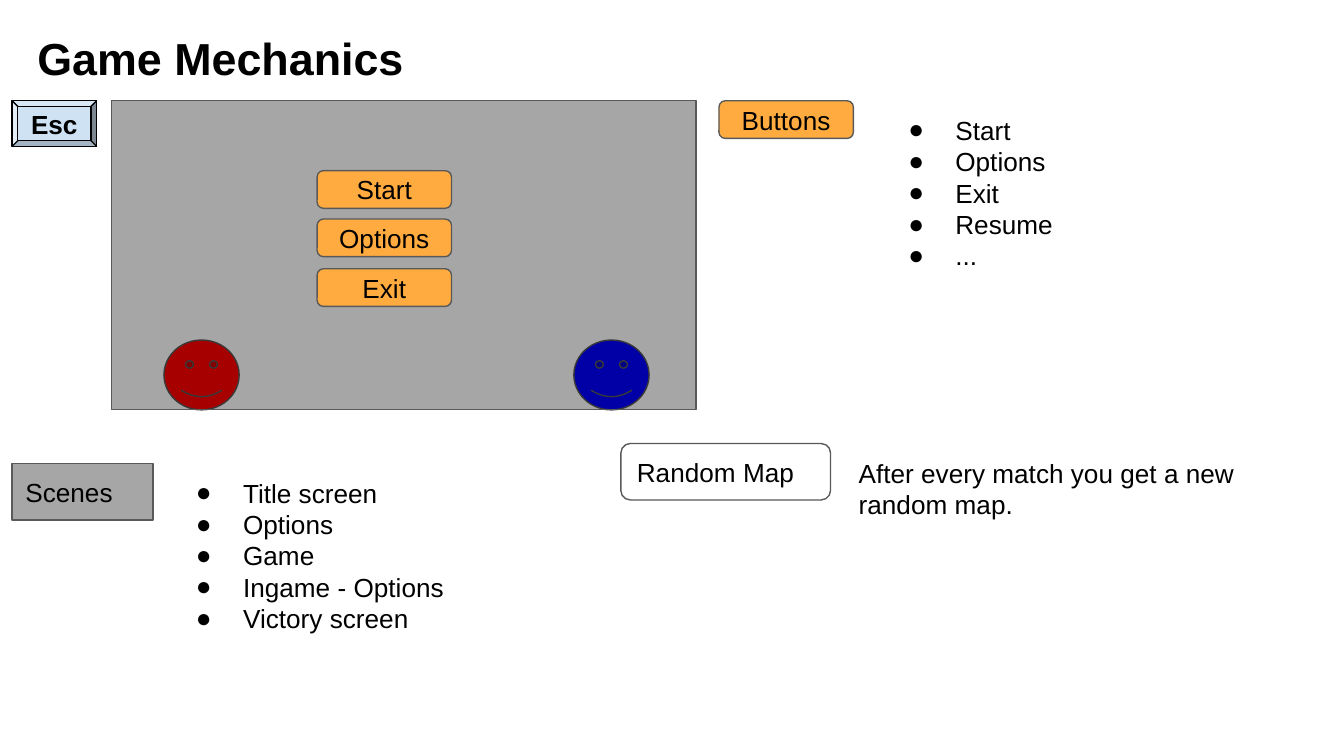
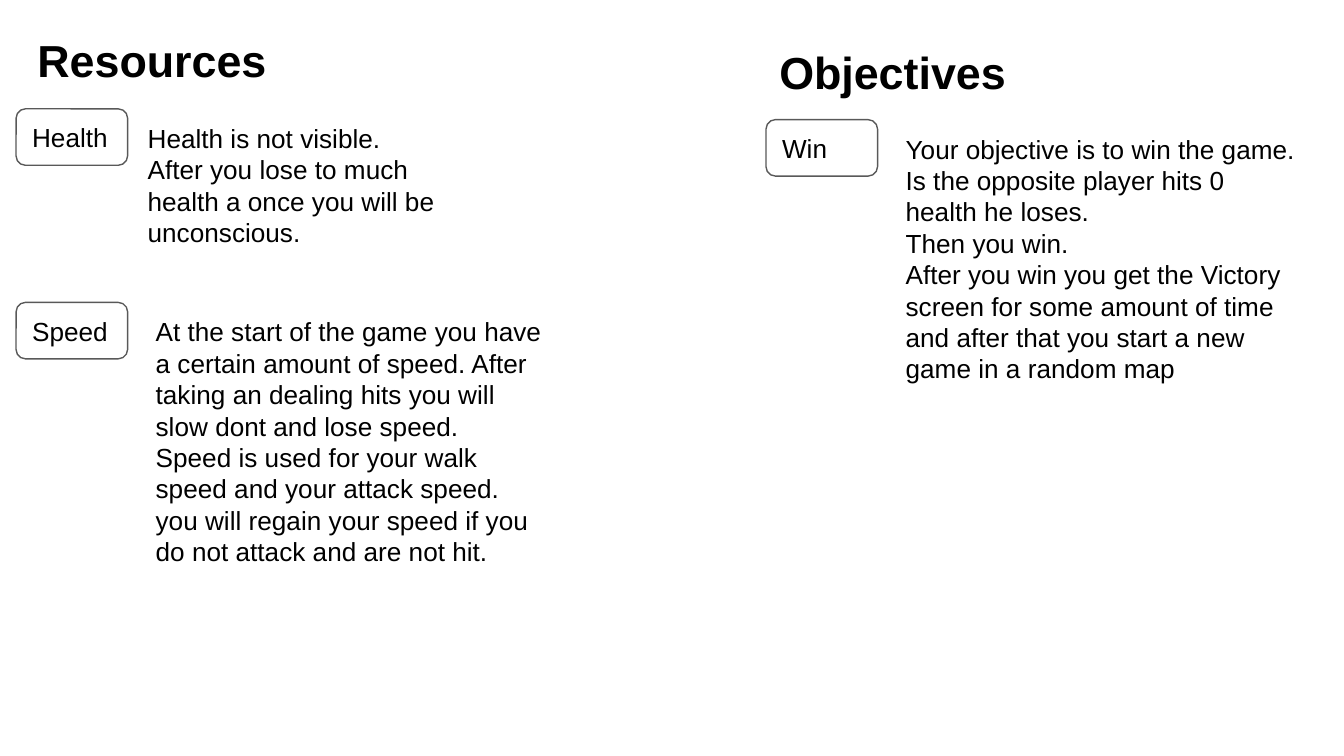
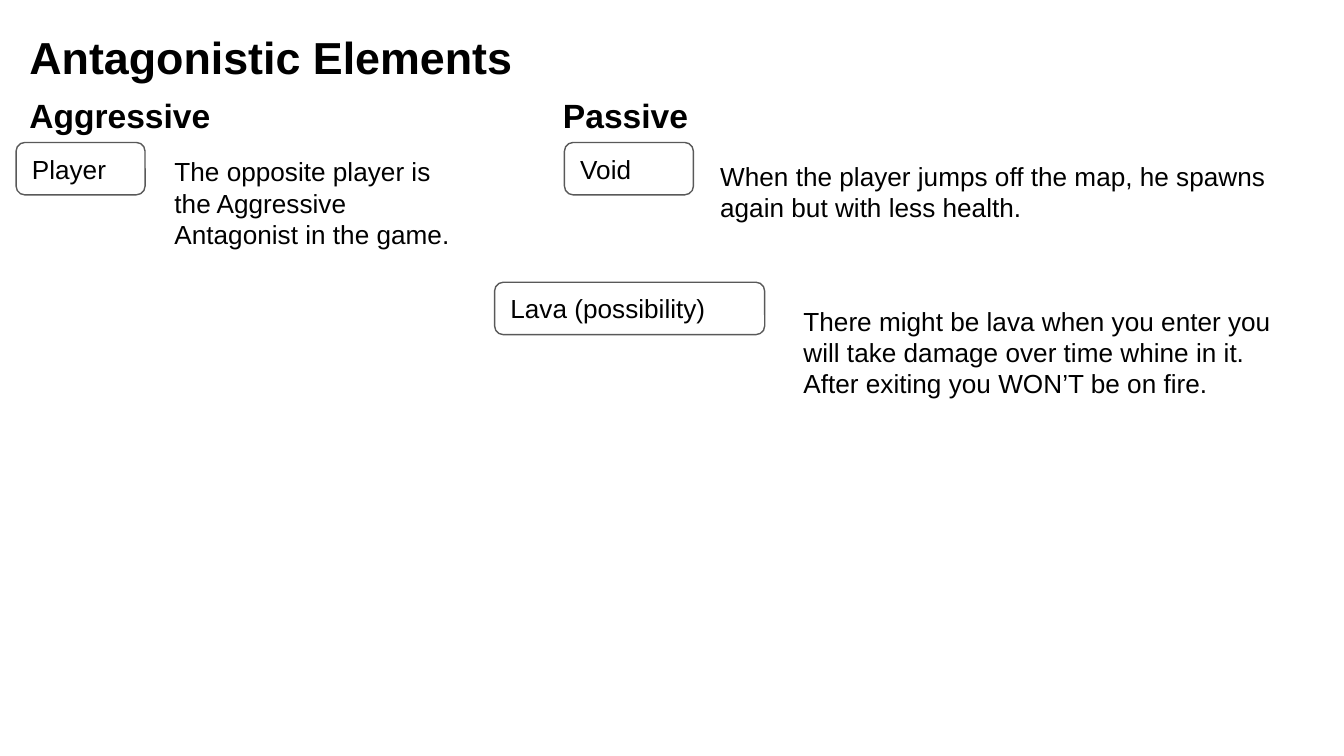
"""Build three game design slides: mechanics, resources and objectives, antagonists."""
from dataclasses import dataclass

from lxml.etree import SubElement
from pptx import Presentation
from pptx.dml.color import RGBColor
from pptx.enum.shapes import MSO_SHAPE as SHAPE
from pptx.enum.text import MSO_ANCHOR as ANCHOR, PP_ALIGN as ALIGN
from pptx.oxml.ns import qn
from pptx.util import Pt

PX = 9144


@dataclass(frozen=True)
class Theme:
    font: str = "Arial"
    ink: str = "000000"
    outline: str = "595959"
    button: str = "FFAB40"
    key: str = "CFE2F3"
    red: str = "FF0000"
    blue: str = "0000FF"
    shade: int = 35
    title: int = 24
    heading: int = 18
    body: int = 14
    line: float = 0.75


T = Theme()


def add(s, box, text="", shape=None, fill=None, alpha=None, line=T.outline,
        size=T.body, bold=False, align=ALIGN.LEFT, bullets=False):
    """Add a text box, or a preset shape if one is given, with one paragraph per line."""
    x, y, w, h = (v * PX for v in box)
    if shape is None:
        sp = s.shapes.add_textbox(x, y, w, h)
    else:
        sp = s.shapes.add_shape(shape, x, y, w, h)
        sp.shadow.inherit = False
        sp.line.color.rgb = RGBColor.from_string(line)
        sp.line.width = Pt(T.line)
        if fill:
            sp.fill.solid()
            sp.fill.fore_color.rgb = RGBColor.from_string(fill)
        else:
            sp.fill.background()
        if alpha:
            color = sp.fill._xPr.find(".//" + qn("a:srgbClr"))
            SubElement(color, qn("a:alpha"), val=str(alpha * 1000))
    if not text:
        return
    tf = sp.text_frame
    tf.word_wrap = True
    tf.vertical_anchor = ANCHOR.MIDDLE if shape else ANCHOR.TOP
    tf.margin_left = tf.margin_right = tf.margin_top = tf.margin_bottom = 10 * PX
    for i, words in enumerate(text.split("\n")):
        p = tf.add_paragraph() if i else tf.paragraphs[0]
        p.alignment = align
        r = p.add_run()
        r.text = words
        r.font.name = T.font
        r.font.size = Pt(size)
        r.font.bold = bold
        r.font.color.rgb = RGBColor.from_string(T.ink)
        if bullets:
            pPr = p._p.get_or_add_pPr()
            pPr.set("marL", str(50 * PX))
            pPr.set("indent", str(-35 * PX))
            color = SubElement(pPr, qn("a:buClr"))
            SubElement(color, qn("a:srgbClr"), val=T.ink)
            SubElement(pPr, qn("a:buFont"), typeface=T.font)
            SubElement(pPr, qn("a:buChar"), char="●")


prs = Presentation()
prs.slide_width = 1000 * PX
prs.slide_height = prs.slide_width * 9 // 16
mechanics, resources, antagonists = [
    prs.slides.add_slide(prs.slide_layouts[6]) for _ in range(3)]

add(mechanics, (9, 75, 63, 34), "Esc", shape=SHAPE.BEVEL, fill=T.key, line=T.ink, bold=True)
for x, color in [(122, T.red), (427, T.blue)]:
    add(mechanics, (x, 253, 56, 52), shape=SHAPE.SMILEY_FACE, fill=color)
for box, text in [((83, 75, 435, 230), ""), ((9, 345, 105, 42), "Scenes")]:
    add(mechanics, box, text, shape=SHAPE.RECTANGLE, fill=T.ink, alpha=T.shade)

menu = [(236, 127 + i * 73 // 2, text) for i, text in enumerate(["Start", "Options", "Exit"])]
for x, y, text in menu + [(535, 75, "Buttons")]:
    add(mechanics, (x, y, 100, 28), text, shape=SHAPE.ROUNDED_RECTANGLE,
        fill=T.button, align=ALIGN.CENTER)

for box, text in [
    ((651, 75, 318, 230), "Start\nOptions\nExit\nResume\n..."),
    ((121, 345, 328, 143), "Title screen\nOptions\nGame\nIngame - Options\nVictory screen"),
]:
    add(mechanics, box, text, bullets=True)

for s, box, text, size in [
    (mechanics, (18, 13, 335, 59), "Game Mechanics", T.title),
    (resources, (18, 14, 200, 59), "Resources", T.title),
    (resources, (570, 23, 200, 59), "Objectives", T.title),
    (antagonists, (12, 12, 404, 59), "Antagonistic Elements", T.title),
    (antagonists, (12, 61, 166, 51), "Aggressive", T.heading),
    (antagonists, (409, 61, 129, 51), "Passive", T.heading),
]:
    add(s, box, text, size=size, bold=True)

for s, label_box, label, note_box, note in [
    (mechanics, (462, 330, 156, 42), "Random Map", (629, 330, 315, 74),
     "After every match you get a new random map."),
    (resources, (12, 81, 83, 42), "Health", (100, 81, 271, 107),
     "Health is not visible.\n"
     "After you lose to much health a once you will be unconscious."),
    (resources, (12, 225, 83, 42), "Speed", (106, 225, 315, 199),
     "At the start of the game you have a certain amount of speed. "
     "After taking an dealing hits you will slow dont and lose speed.\n"
     "Speed is used for your walk speed and your attack speed.\n"
     "you will regain your speed if you do not attack and are not hit."),
    (resources, (570, 89, 83, 42), "Win", (664, 89, 315, 199),
     "Your objective is to win the game.\n"
     "Is the opposite player hits 0 health he loses.\n"
     "Then you win.\n"
     "After you win you get the Victory screen for some amount of time "
     "and after that you start a new game in a random map"),
    (antagonists, (12, 106, 96, 39), "Player", (120, 106, 240, 93),
     "The opposite player is the Aggressive Antagonist in the game."),
    (antagonists, (420, 106, 96, 39), "Void", (526, 109, 439, 87),
     "When the player jumps off the map, he spawns again but with less health."),
    (antagonists, (368, 210, 201, 39), "Lava (possibility)", (588, 217, 377, 87),
     "There might be lava when you enter you will take damage over time whine in it. "
     "After exiting you WON’T be on fire."),
]:
    add(s, label_box, label, shape=SHAPE.ROUNDED_RECTANGLE)
    add(s, note_box, note)

prs.save("out.pptx")
